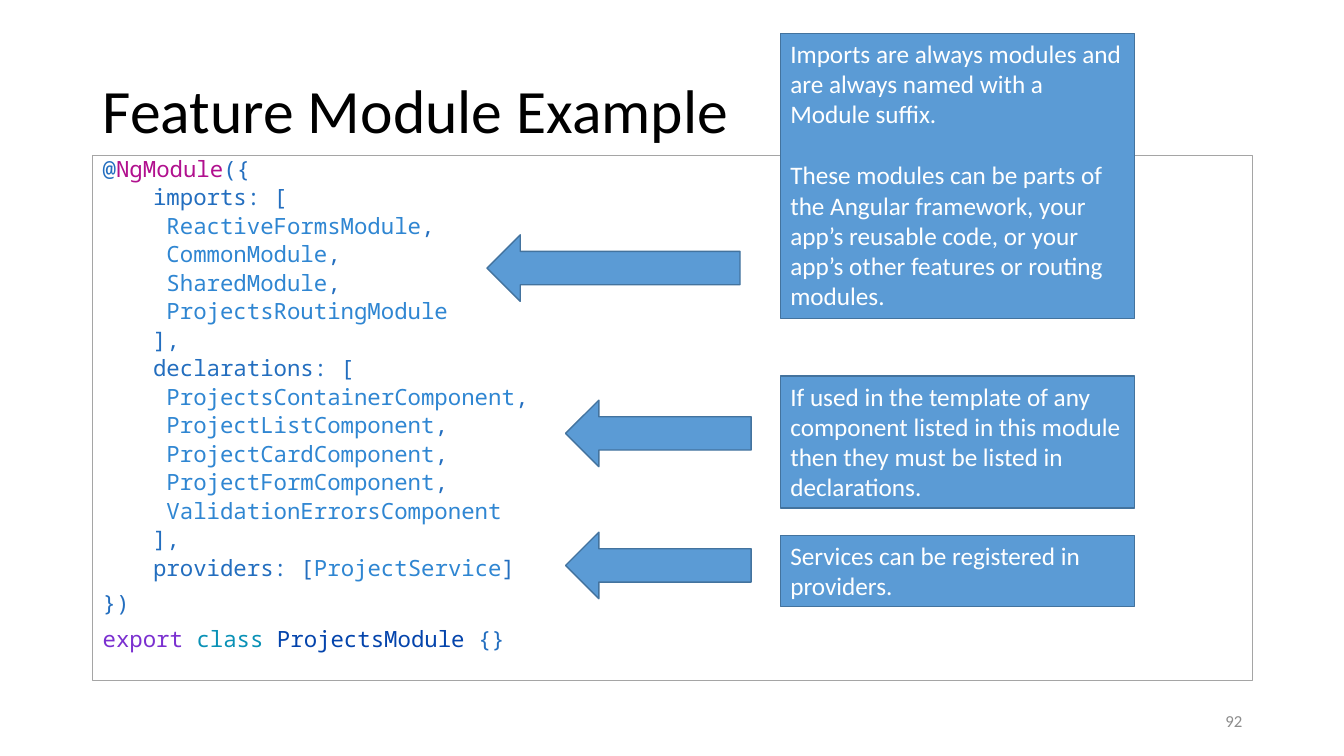
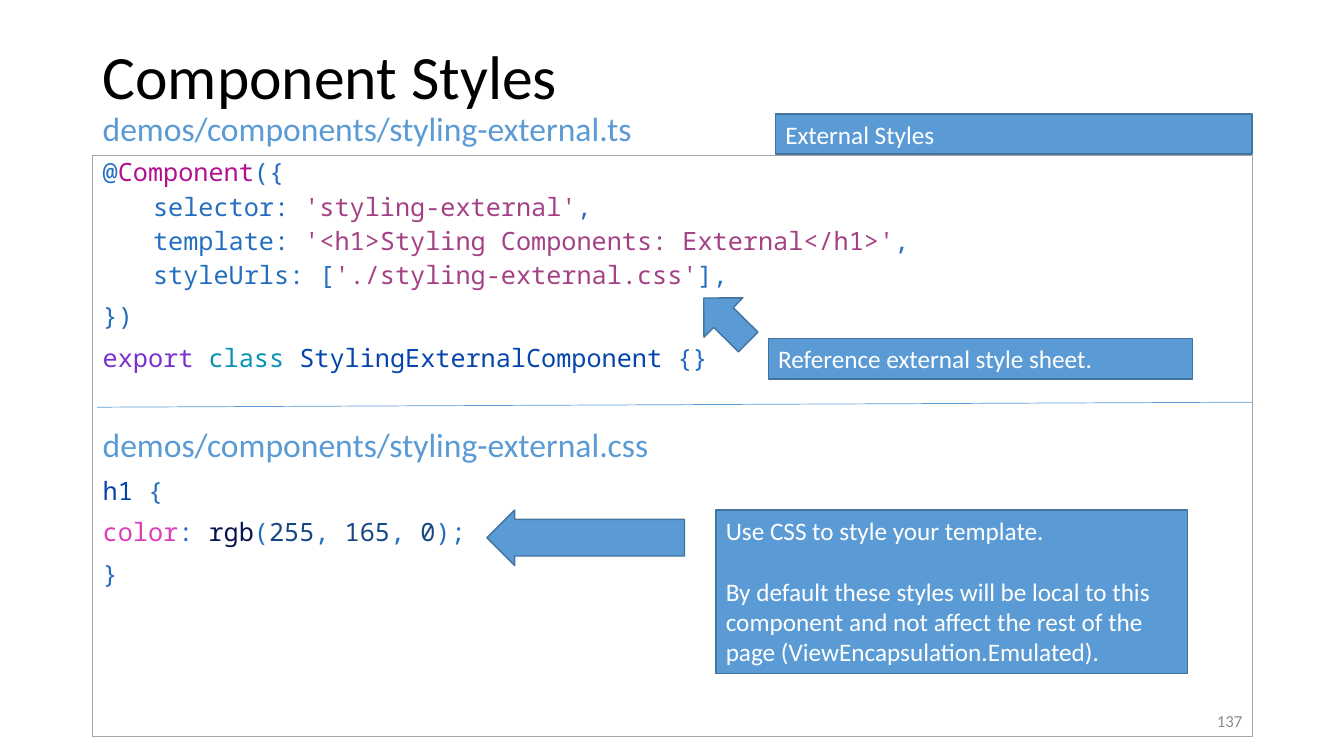
from lxml.etree import SubElement
from pptx import Presentation
from pptx.dml.color import RGBColor
from pptx.enum.shapes import MSO_CONNECTOR as CONN, MSO_SHAPE as SHAPE
from pptx.enum.text import MSO_ANCHOR as ANCHOR, PP_ALIGN as ALIGN
from pptx.oxml.ns import qn
from pptx.util import Inches, Pt

COLORS = dict(
    title="000000", accent="5B9BD5", edge="43739E", frame="A5A5A5",
    number="8C8C8C", white="FFFFFF", code="236EBF", decorator="B1108E",
    symbol="2F86D2", keyword="7B30D0", type="0991B6", name="0444AC",
    string="A44185", property="DC3EB7", function="08134A", value="174781",
)
TEXT_FONT, CODE_FONT = "Calibri", "Noto Sans Mono"
WIDTH, HEIGHT = 13.33, 7.5
LEFT, CONTENT_W = 0.92, 11.5
BODY_TOP = 1.54


def items(*names):
    rows = [(1, [(f" {name}", "symbol"), (",", "code")]) for name in names[:-1]]
    return rows + [(1, [(f" {names[-1]}", "symbol")])]


def setting(key, value, end, role="string"):
    return 1, [(key, "code"), (value, role), (end, "code")]


def decorator(name):
    return 0, [("@", "code"), (name, "decorator"), ("({", "code")]


def export(name):
    return 0, [("export ", "keyword"), ("class ", "type"), (name, "name"), (" {}", "code")]


def plain(text, level=0):
    return level, [(text, "code")]


SLIDES = [
    dict(
        title=[("Feature Module Example", 44, "title")], title_h=1.45,
        number="92", body_h=5.21, size=16, spacing=0.8,
        code=[
            decorator("NgModule"),
            plain("imports: [", 1),
            *items("ReactiveFormsModule", "CommonModule", "SharedModule", "ProjectsRoutingModule"),
            plain("],", 1),
            plain("declarations: [", 1),
            *items("ProjectsContainerComponent", "ProjectListComponent", "ProjectCardComponent",
                   "ProjectFormComponent", "ValidationErrorsComponent"),
            plain("],", 1),
            setting("providers: [", "ProjectService", "]", "symbol"),
            plain("})"),
            export("ProjectsModule"),
        ],
        callouts=[
            ((7.74, 3.73, 3.51, 1.31),
             ["If used in the template of any component listed in this module "
              "then they must be listed in declarations."]),
            ((7.74, 0.33, 3.51, 2.83),
             ["Imports are always modules and are always named with a Module suffix.",
              "These modules can be parts of the Angular framework, your app’s reusable code, "
              "or your app’s other features or routing modules."]),
            ((7.74, 5.31, 3.51, 0.71), ["Services can be registered in providers."]),
        ],
        arrows=[
            ((5.61, 3.97, 1.84, 0.66), 0, 0.5),
            ((4.83, 2.33, 2.51, 0.66), 0, 0.5),
            ((5.61, 5.28, 1.84, 0.66), 0, 0.5),
        ],
        dividers=[],
    ),
    dict(
        title=[("Component Styles", 44, "title"),
               ("demos/components/styling-external.ts", 24, "accent")],
        title_h=1.14, number="137", body_h=5.77, size=18, spacing=0.9,
        code=[
            decorator("Component"),
            setting("selector: ", "'styling-external'", ","),
            setting("template: ", "'<h1>Styling Components: External</h1>'", ","),
            setting("styleUrls: [", "'./styling-external.css'", "],"),
            plain("})"),
            export("StylingExternalComponent"),
            (0, [("demos/components/styling-external.css", "accent")]),
            (0, [("h1", "name"), (" {", "code")]),
            (0, [("color", "property"), (": ", "code"), ("rgb", "function"), ("(", "code"),
                 ("255", "value"), (", ", "code"), ("165", "value"), (", ", "code"),
                 ("0", "value"), (");", "code")]),
            plain("}"),
        ],
        callouts=[
            ((7.69, 1.13, 4.73, 0.4), ["External Styles"]),
            ((7.62, 3.36, 4.21, 0.4), ["Reference external style sheet."]),
            ((7.1, 5.06, 4.68, 1.62),
             ["Use CSS to style your template.",
              "By default these styles will be local to this component and not affect "
              "the rest of the page (ViewEncapsulation.Emulated)."]),
        ],
        arrows=[
            ((6.89, 2.9, 0.62, 0.55), 44.6, 0.5),
            ((4.83, 5.06, 1.96, 0.55), 0, 0.66),
        ],
        dividers=[(0.96, 4.04, 12.42, 3.99)],
    ),
]


def rgb(role):
    return RGBColor.from_string(COLORS[role])


def set_font(font, name, size, role):
    font.name, font.size = name, Pt(size)
    font.color.rgb = rgb(role)


def paragraphs(tf, rows):
    for i, row in enumerate(rows):
        yield i, (tf.add_paragraph() if i else tf.paragraphs[0]), row


def add_text(slide, box, rows, align=ALIGN.LEFT, spacing=1.0):
    tf = slide.shapes.add_textbox(*map(Inches, box)).text_frame
    tf.word_wrap, tf.vertical_anchor = True, ANCHOR.MIDDLE
    for _, p, (text, size, role) in paragraphs(tf, rows):
        p.text, p.alignment, p.line_spacing = text, align, spacing
        set_font(p.font, TEXT_FONT, size, role)


def add_block(slide, kind, box, fill="accent", edge="edge", weight=1):
    sp = slide.shapes.add_shape(kind, *map(Inches, box))
    sp.shadow.inherit = False
    if fill:
        sp.fill.solid()
        sp.fill.fore_color.rgb = rgb(fill)
    else:
        sp.fill.background()
    sp.line.color.rgb, sp.line.width = rgb(edge), Pt(weight)
    sp.text_frame.word_wrap = True
    sp.text_frame.vertical_anchor = ANCHOR.TOP
    return sp


def add_code(slide, data):
    box = LEFT, BODY_TOP, CONTENT_W, data["body_h"]
    tf = add_block(slide, SHAPE.RECTANGLE, box, None, "frame", 0.75).text_frame
    for i, p, (level, runs) in paragraphs(tf, data["code"]):
        heading = runs[0][1] == "accent"
        if level:
            p.level = level
            pPr = p._p.get_or_add_pPr()
            pPr.set("marL", str(Inches(0.5)))
            pPr.set("indent", "0")
        p.alignment, p.line_spacing = ALIGN.LEFT, data["spacing"]
        p.space_before = Pt(0 if i == 0 else 40 if heading else 5 if level else 10)
        for text, role in runs:
            r = p.add_run()
            r.text = text
            set_font(r.font, TEXT_FONT if heading else CODE_FONT,
                     24 if heading else data["size"], role)


def add_callout(slide, box, texts):
    tf = add_block(slide, SHAPE.RECTANGLE, box).text_frame
    for i, p, text in paragraphs(tf, texts):
        p.text, p.alignment = text, ALIGN.LEFT
        p.space_before = Pt(22 if i else 0)
        set_font(p.font, TEXT_FONT, 18, "white")


def add_arrow(slide, box, rotation, shaft):
    sp = add_block(slide, SHAPE.LEFT_ARROW, box)
    sp.rotation = rotation
    sp.adjustments[0] = shaft


def add_divider(slide, ends):
    line = slide.shapes.add_connector(CONN.STRAIGHT, *map(Inches, ends))
    line.line.color.rgb, line.line.width = rgb("accent"), Pt(0.5)
    SubElement(line._element.spPr, qn("a:effectLst"))


def main():
    prs = Presentation()
    prs.slide_width, prs.slide_height = Inches(WIDTH), Inches(HEIGHT)
    for data in SLIDES:
        s = prs.slides.add_slide(prs.slide_layouts[6])
        add_code(s, data)
        add_text(s, (LEFT, 0.4, CONTENT_W, data["title_h"]), data["title"], spacing=0.9)
        for box, texts in data["callouts"]:
            add_callout(s, box, texts)
        for arrow in data["arrows"]:
            add_arrow(s, *arrow)
        for ends in data["dividers"]:
            add_divider(s, ends)
        add_text(s, (LEFT + CONTENT_W - 3, 6.95, 3, 0.4),
                 [(data["number"], 12, "number")], ALIGN.RIGHT)
    prs.save("out.pptx")


if __name__ == "__main__":
    main()
